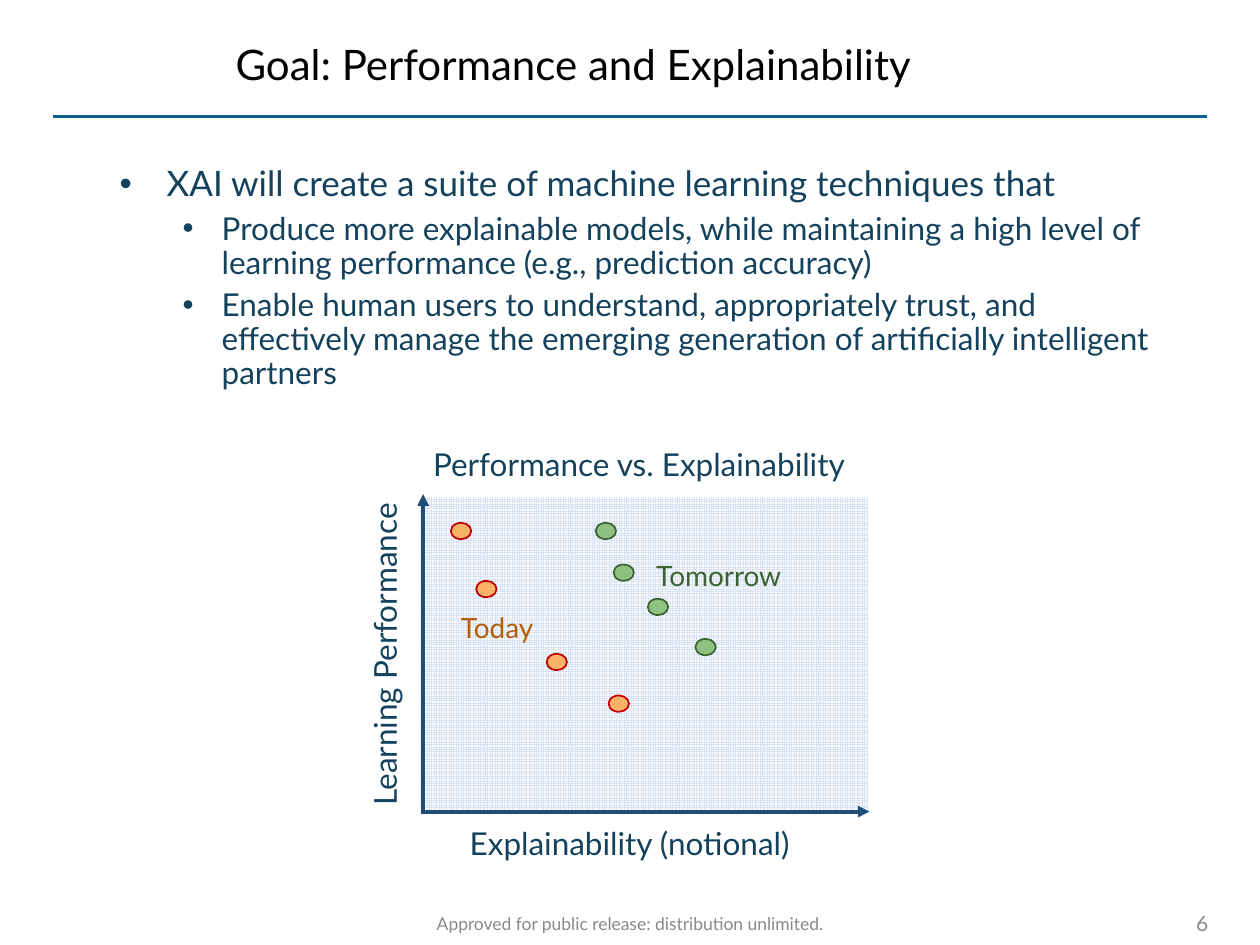
import pptx
import pptx.util
import pptx.dml.color
import pptx.enum.dml
import pptx.enum.shapes
import pptx.enum.text
import pptx.oxml.xmlchemy

Cm = pptx.util.Cm
Pt = pptx.util.Pt
RGBColor = pptx.dml.color.RGBColor
SHAPES = pptx.enum.shapes.MSO_SHAPE
ALIGN = pptx.enum.text.PP_ALIGN
ANCHOR = pptx.enum.text.MSO_ANCHOR
FIT = pptx.enum.text.MSO_AUTO_SIZE
OxmlElement = pptx.oxml.xmlchemy.OxmlElement

FONT = "Lato"
BLACK = RGBColor(0x00, 0x00, 0x00)
WHITE = RGBColor(0xFF, 0xFF, 0xFF)
GREY = RGBColor(0x89, 0x89, 0x89)
NAVY = RGBColor(0x14, 0x42, 0x5D)
RULE_BLUE = RGBColor(0x0F, 0x5E, 0x90)
AXIS_BLUE = RGBColor(0x1F, 0x4E, 0x79)
GRID_BLUE = RGBColor(0xDA, 0xE3, 0xF3)
ORANGE = RGBColor(0xF9, 0xB2, 0x68)
RED = RGBColor(0xC0, 0x00, 0x00)
BROWN = RGBColor(0xB4, 0x5F, 0x07)
GREEN = RGBColor(0x8E, 0xC1, 0x82)
DARK_GREEN = RGBColor(0x3B, 0x64, 0x32)

deck = pptx.Presentation()
deck.slide_width = Cm(25.4)
deck.slide_height = Cm(19.05)
slide = deck.slides.add_slide(deck.slide_layouts[6])


def add_label(words, left, top, width, height, size, color,
              align=ALIGN.LEFT, anchor=ANCHOR.TOP, wrap=True, fit=FIT.NONE):
    label = slide.shapes.add_textbox(Cm(left), Cm(top), Cm(width), Cm(height))
    frame = label.text_frame
    frame.word_wrap = wrap
    frame.auto_size = fit
    frame.vertical_anchor = anchor
    frame.paragraphs[0].alignment = align
    run = frame.paragraphs[0].add_run()
    run.text = words
    run.font.name = FONT
    run.font.size = Pt(size)
    run.font.color.rgb = color
    return label


def add_line(start_x, start_y, end_x, end_y, color, weight):
    line = slide.shapes.add_connector(
        pptx.enum.shapes.MSO_CONNECTOR.STRAIGHT,
        Cm(start_x), Cm(start_y), Cm(end_x), Cm(end_y))
    line.line.color.rgb = color
    line.line.width = Pt(weight)
    line._element.spPr.append(OxmlElement("a:effectLst"))
    return line


add_line(1.07, 2.34, 24.33, 2.34, RULE_BLUE, 1.75)
add_label("Approved for public release: distribution unlimited.",
          3.71, 18.19, 17.98, 0.84, 10, GREY, ALIGN.CENTER, ANCHOR.MIDDLE)
add_label("6", 22.5, 18.21, 2.11, 0.81, 12, GREY, ALIGN.RIGHT, ANCHOR.MIDDLE)
add_label("Goal: Performance and Explainability",
          4.5, 0.43, 16.59, 1.7, 24, BLACK, anchor=ANCHOR.MIDDLE)

add_label("Explainability (notional)", 7.16, 16.48, 11.07, 1.02, 18, NAVY,
          ALIGN.CENTER, fit=FIT.SHAPE_TO_FIT_TEXT)
vertical_title = add_label("Learning Performance", 3.25, 12.67, 9.02, 1.04, 18, NAVY,
                           ALIGN.CENTER, fit=FIT.SHAPE_TO_FIT_TEXT)
vertical_title.rotation = 270

plot_area = slide.shapes.add_shape(SHAPES.RECTANGLE, Cm(8.46), Cm(10.01), Cm(9.02), Cm(6.32))
plot_area.shadow.inherit = False
plot_area.fill.patterned()
plot_area.fill.pattern = pptx.enum.dml.MSO_PATTERN.SMALL_GRID
plot_area.fill.fore_color.rgb = GRID_BLUE
plot_area.fill.back_color.rgb = WHITE
plot_area.line.fill.background()

for ends in [(8.53, 9.96, 8.53, 16.36), (17.53, 16.36, 8.48, 16.36)]:
    axis = add_line(*ends, AXIS_BLUE, 2.25)
    arrowhead = OxmlElement("a:headEnd")
    arrowhead.set("type", "triangle")
    axis.line._get_or_add_ln().append(arrowhead)

today_points = [(9.09, 10.54), (9.6, 11.71), (11.02, 13.18), (12.27, 14.02)]
tomorrow_points = [(12.01, 10.54), (12.37, 11.38), (13.06, 12.07), (14.02, 12.88)]
for points, inside, outline in [(today_points, ORANGE, RED),
                                (tomorrow_points, GREEN, DARK_GREEN)]:
    for left, top in points:
        dot = slide.shapes.add_shape(SHAPES.OVAL, Cm(left), Cm(top), Cm(0.41), Cm(0.33))
        dot.shadow.inherit = False
        dot.fill.solid()
        dot.fill.fore_color.rgb = inside
        dot.line.color.rgb = outline
        dot.line.width = Pt(1)

for words, left, top, width, height, size, color in [
    ("Today", 9.04, 12.19, 2.11, 0.94, 16, BROWN),
    ("Tomorrow", 12.98, 11.13, 3.1, 0.94, 16, DARK_GREEN),
    ("Performance vs. Explainability", 8.48, 8.84, 9.09, 1.02, 18, NAVY),
]:
    add_label(words, left, top, width, height, size, color,
              wrap=False, fit=FIT.SHAPE_TO_FIT_TEXT)

goals = slide.shapes.add_textbox(Cm(2.16), Cm(3.23), Cm(21.41), Cm(4.98)).text_frame
goals.word_wrap = True
for index, (words, level, margin, hanging, size) in enumerate([
    ("XAI will create a suite of machine learning techniques that", 0, 0.95, 0.95, 20),
    ("Produce more explainable models, while maintaining a high level of "
     "learning performance (e.g., prediction accuracy)", 1, 2.06, 0.79, 18),
    ("Enable human users to understand, appropriately trust, and effectively manage "
     "the emerging generation of artificially intelligent partners", 1, 2.06, 0.79, 18),
]):
    goal = goals.add_paragraph() if index else goals.paragraphs[0]
    goal.level = level
    goal.line_spacing = 0.9
    goal.space_before = Pt(5 if index else 0)
    settings = goal._p.get_or_add_pPr()
    settings.set("marL", str(Cm(margin)))
    settings.set("indent", str(-Cm(hanging)))
    bullet_font = OxmlElement("a:buFont")
    bullet_font.set("typeface", "Arial")
    bullet = OxmlElement("a:buChar")
    bullet.set("char", "•")
    settings.extend([bullet_font, bullet])
    run = goal.add_run()
    run.text = words
    run.font.name = FONT
    run.font.size = Pt(size)
    run.font.color.rgb = NAVY

deck.save("out.pptx")
